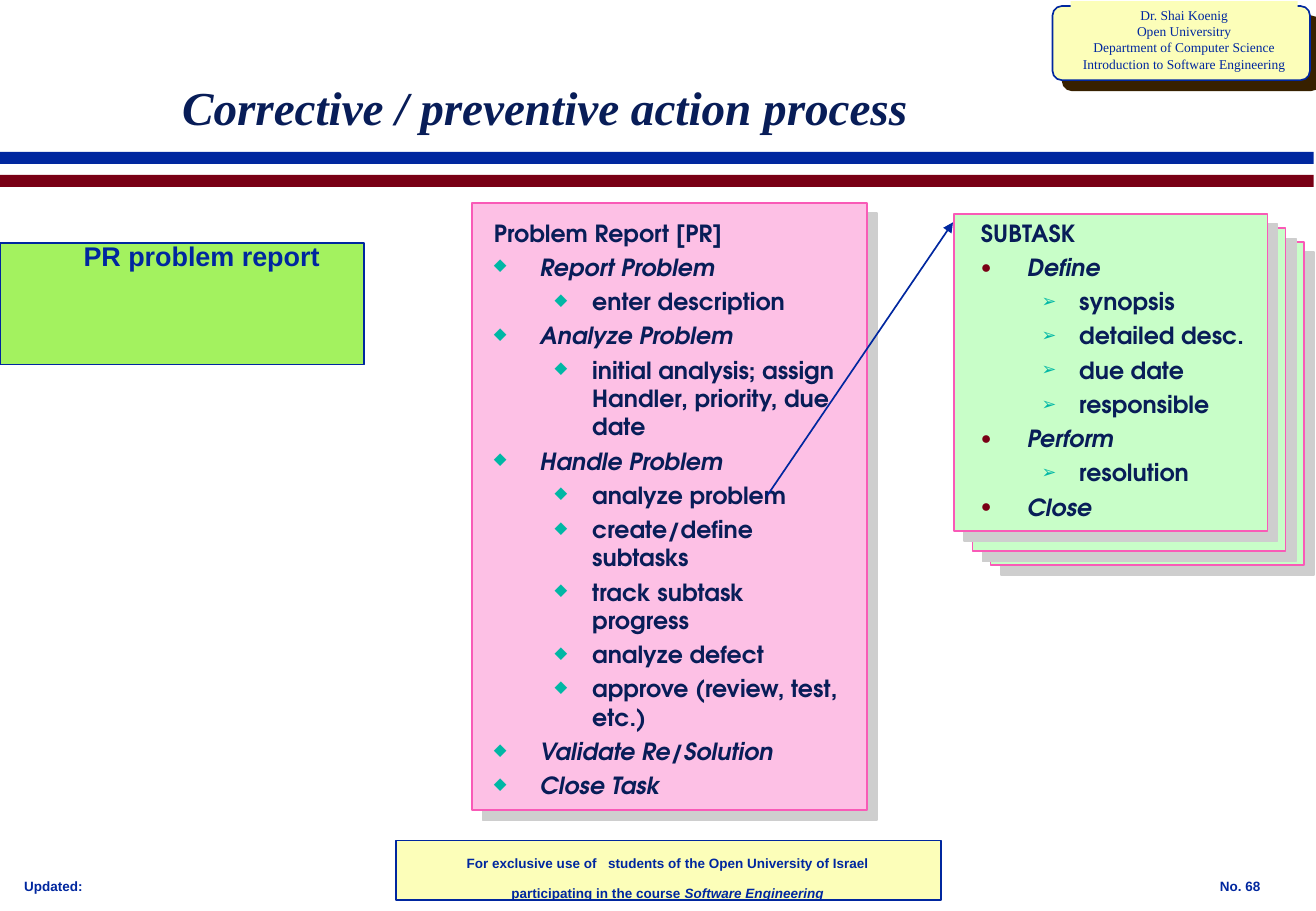
from dataclasses import dataclass
from math import cos, radians, sin

from lxml import etree
from pptx import Presentation
from pptx.dml.color import RGBColor
from pptx.enum.shapes import MSO_CONNECTOR, MSO_SHAPE
from pptx.enum.text import MSO_ANCHOR, MSO_AUTO_SIZE, PP_ALIGN
from pptx.oxml.ns import qn
from pptx.util import Inches, Pt

RECT, ROUND_RECT = MSO_SHAPE.RECTANGLE, MSO_SHAPE.ROUNDED_RECTANGLE
LEFT, CENTER = PP_ALIGN.LEFT, PP_ALIGN.CENTER
TOP, MIDDLE = MSO_ANCHOR.TOP, MSO_ANCHOR.MIDDLE
COLORS = {
    "blue": "00279F", "maroon": "790015", "navy": "081D58", "teal": "00B7A5",
    "cream": "FCFEB9", "brown": "372000", "pink": "FDC0E5", "hot pink": "F95AB7",
    "mint": "C8FEC8", "gray": "CECECE", "lime": "A3F25F",
}
SMALL = {"name": "Arial", "size": Pt(8), "bold": True, "color": "blue"}
HEADER = {"name": "Times New Roman", "size": Pt(8), "color": "blue"}
CALLOUT = {"name": "Arial", "size": Pt(16), "bold": True, "color": "blue"}
TITLE = {"name": "Times New Roman", "size": Pt(28), "bold": True, "italic": True,
         "color": "navy"}
OUTLINE = {"name": "TeX Gyre Adventor", "size": Pt(14), "bold": True, "color": "navy"}


@dataclass
class Panel:
    box: tuple[float, float, float, float]
    fill: str
    line: str | None = None
    shadow: str | None = None
    preset: int = RECT


@dataclass
class Bullet:
    char: str
    color: str
    percent: int


@dataclass
class Step:
    name: str
    details: tuple[str, ...] = ()


PANELS = [
    Panel((3.26, 6.92, 4.49, 0.49), "cream", "blue"),
    Panel((0, 1.25, 10.82, 0.1), "blue"),
    Panel((0, 1.44, 10.82, 0.1), "maroon"),
    Panel((8.67, 0.05, 2.12, 0.61), "cream", "blue", "brown", ROUND_RECT),
    Panel((8.82, 0.01, 1.87, 0.63), "cream"),
    Panel((3.89, 1.67, 3.25, 5), "pink", "hot pink", "gray"),
    Panel((8.16, 1.99, 2.58, 2.66), "mint", "hot pink", "gray"),
    Panel((8.01, 1.88, 2.58, 2.66), "mint", "hot pink", "gray"),
    Panel((7.86, 1.76, 2.58, 2.61), "mint", "hot pink", "gray"),
]
REPORT_STEPS = [
    Step("Report Problem", ("enter description",)),
    Step("Analyze Problem", ("initial analysis; assign Handler, priority, due date",)),
    Step("Handle Problem", ("analyze problem", "create/define subtasks",
                            "track subtask progress", "analyze defect",
                            "approve (review, test, etc.)")),
    Step("Validate Re/Solution"),
    Step("Close Task"),
]
SUBTASK_STEPS = [
    Step("Define", ("synopsis", "detailed desc.", "due date", "responsible")),
    Step("Perform", ("resolution",)),
    Step("Close"),
]
COURSE_LINES = ["Dr. Shai Koenig", "Open Universitry", "Department of Computer Science",
                "Introduction to Software Engineering"]


def rgb(color: str) -> RGBColor:
    return RGBColor.from_string(COLORS[color])


def paint(shape, fill: str, line: str | None) -> None:
    shape.shadow.inherit = False
    shape.fill.solid()
    shape.fill.fore_color.rgb = rgb(fill)
    if line:
        shape.line.color.rgb = rgb(line)
        shape.line.width = Pt(1)
    else:
        shape.line.fill.background()


def add_panel(slide, panel: Panel) -> None:
    shape = slide.shapes.add_shape(panel.preset, *map(Inches, panel.box))
    paint(shape, panel.fill, panel.line)
    if panel.preset == ROUND_RECT:
        shape.adjustments[0] = 0.125
    if panel.shadow:
        effects = shape.element.spPr.find(qn("a:effectLst"))
        shadow = etree.SubElement(effects, qn("a:outerShdw"), dist=str(Pt(8.5)),
                                  dir="2700000", algn="ctr", rotWithShape="0")
        etree.SubElement(shadow, qn("a:srgbClr"), val=COLORS[panel.shadow])


def prepare_frame(shape, wrap: bool = True, anchor=TOP, inset: float = 0.1):
    frame = shape.text_frame
    settings = {
        "word_wrap": wrap, "auto_size": MSO_AUTO_SIZE.NONE, "vertical_anchor": anchor,
        "margin_left": Inches(inset), "margin_right": Inches(inset),
        "margin_top": Inches(inset / 2), "margin_bottom": Inches(inset / 2),
    }
    for attribute, value in settings.items():
        setattr(frame, attribute, value)
    return frame


def add_run(paragraph, text: str, style: dict, **changes) -> None:
    run = paragraph.add_run()
    run.text = text
    for attribute, value in {**style, **changes}.items():
        if attribute == "color":
            run.font.color.rgb = rgb(value)
        else:
            setattr(run.font, attribute, value)


def next_paragraph(frame, space: float = 0, align=LEFT):
    """Return the empty first paragraph, or a new one set off by space points."""
    first = frame.paragraphs[0]
    paragraph = frame.add_paragraph() if first.runs else first
    paragraph.space_before = Pt(space if first.runs else 0)
    paragraph.alignment = align
    return paragraph


def add_label(slide, box: tuple, lines: list[str], style: dict, align=LEFT) -> None:
    frame = prepare_frame(slide.shapes.add_textbox(*map(Inches, box)), wrap=False)
    for line in lines:
        add_run(next_paragraph(frame, align=align), line, style)


def set_indent(paragraph, left: float, hanging: float, bullet: Bullet | None) -> None:
    properties = paragraph._p.get_or_add_pPr()
    properties.set("marL", str(Inches(left)))
    properties.set("indent", str(-Inches(hanging)))
    if bullet is None:
        etree.SubElement(properties, qn("a:buNone"))
        return
    color = etree.SubElement(properties, qn("a:buClr"))
    etree.SubElement(color, qn("a:srgbClr"), val=COLORS[bullet.color])
    etree.SubElement(properties, qn("a:buSzPct"), val=str(bullet.percent * 1000))
    etree.SubElement(properties, qn("a:buChar"), char=bullet.char)


def fill_outline(shape, heading: str, steps: list[Step],
                 step_bullet: Bullet, detail_bullet: Bullet) -> None:
    frame = prepare_frame(shape)

    def add_item(text: str, level: int, bullet: Bullet | None, italic: bool) -> None:
        paragraph = next_paragraph(frame, 3.5)
        paragraph.level = level
        set_indent(paragraph, *((0.81, 0.31) if level else (0.38, 0.38)), bullet)
        add_run(paragraph, text, OUTLINE, italic=italic)

    add_item(heading, 0, None, False)
    for step in steps:
        add_item(step.name, 0, step_bullet, True)
        for detail in step.details:
            add_item(detail, 1, detail_bullet, False)


def add_callout(slide) -> None:
    """Draw a balloon with elliptical corners and a tail at the lower right."""
    left, top, right, bottom, rx, ry = 0.35, 1.76, 2.86, 2.93, 0.41, 0.23
    corners = [(right - rx, top + ry, -90), (right - rx, bottom - ry, 0),
               (left + rx, bottom - ry, 90), (left + rx, top + ry, 180)]
    arcs = [[(x + rx * cos(radians(start + turn)), y + ry * sin(radians(start + turn)))
             for turn in range(0, 91, 6)] for x, y, start in corners]
    tail = [(2.76, 3.16), (2.23, bottom)]
    outline = arcs[0] + arcs[1] + tail + arcs[2] + arcs[3]
    builder = slide.shapes.build_freeform(*outline[0], scale=Inches(1))
    builder.add_line_segments(outline[1:], close=True)
    paint(builder.convert_to_shape(), "lime", "blue")


def add_arrow(slide, *ends: float) -> None:
    arrow = slide.shapes.add_connector(MSO_CONNECTOR.STRAIGHT, *map(Inches, ends))
    arrow.line.color.rgb = rgb("blue")
    arrow.line.width = Pt(1)
    etree.SubElement(arrow.line._get_or_add_ln(), qn("a:tailEnd"), type="triangle")
    etree.SubElement(arrow.element.spPr, qn("a:effectLst"))


def place(placeholder, *box: float) -> None:
    """Move a placeholder to box and bring it to the front."""
    for attribute, value in zip(("left", "top", "width", "height"), box):
        setattr(placeholder, attribute, Inches(value))
    placeholder.element.getparent().append(placeholder.element)


def main() -> None:
    deck = Presentation()
    deck.slide_width, deck.slide_height = Inches(10.84), Inches(7.5)
    slide = deck.slides.add_slide(deck.slide_layouts[1])
    title, subtask = slide.shapes.title, slide.placeholders[1]
    for panel in PANELS:
        add_panel(slide, panel)
    add_label(slide, (8.82, 0.01, 1.87, 0.63), COURSE_LINES, HEADER, CENTER)
    add_label(slide, (0.1, 7.18, 0.75, 0.23), ["Updated:"], SMALL)
    add_label(slide, (9.95, 7.18, 0.55, 0.23), ["No. 68"], SMALL)

    usage = prepare_frame(slide.shapes.add_textbox(*map(Inches, (3.25, 6.77, 4.5, 0.71))))
    audience = next_paragraph(usage, align=CENTER)
    add_run(audience, "For exclusive use of", SMALL)
    add_run(audience, " ", SMALL, size=Pt(24))
    add_run(audience, "students of the Open University of Israel", SMALL)
    course = next_paragraph(usage, 5, CENTER)
    add_run(course, "participating in the course ", SMALL)
    add_run(course, "Software Engineering", SMALL, italic=True)

    diamond = Bullet("◆", "teal", 70)
    report = slide.shapes.add_textbox(*map(Inches, (3.97, 1.75, 3.07, 4.9)))
    fill_outline(report, "Problem Report [PR]", REPORT_STEPS, diamond, diamond)
    place(subtask, 7.98, 1.75, 2.39, 2.58)
    fill_outline(subtask, "SUBTASK", SUBTASK_STEPS,
                 Bullet("●", "maroon", 75), Bullet("➢", "teal", 75))
    add_arrow(slide, 6.32, 4.08, 7.85, 1.83)

    place(title, 1.36, 0.5, 8.5, 0.75)
    heading = next_paragraph(prepare_frame(title, anchor=MIDDLE, inset=0.14))
    add_run(heading, "Corrective / preventive action process", TITLE)
    add_callout(slide)
    add_label(slide, (0.59, 1.92, 2.14, 0.36), ["PR problem report"], CALLOUT)
    deck.save("out.pptx")


if __name__ == "__main__":
    main()
